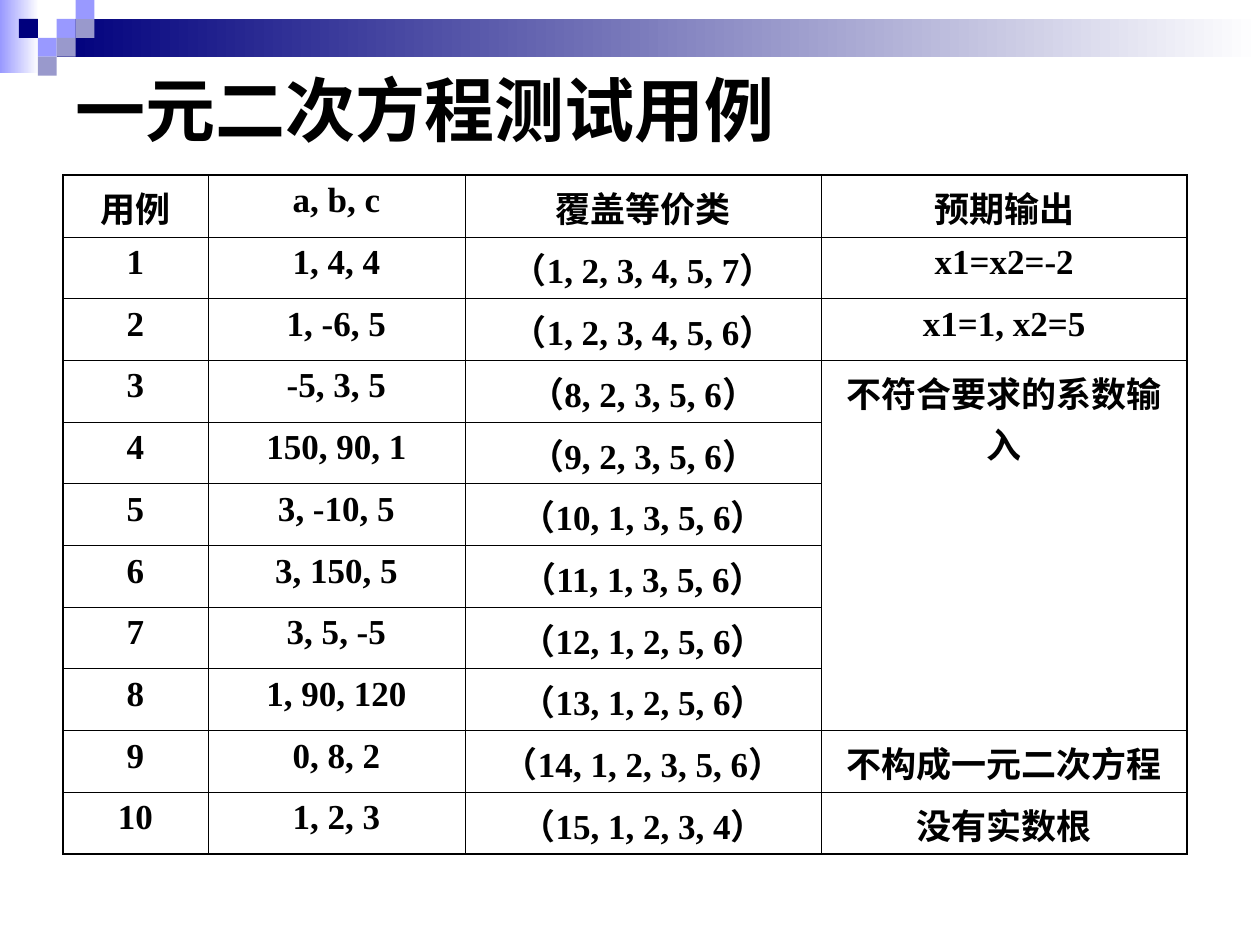
from lxml import etree
from pptx import Presentation
from pptx import util as u
from pptx.dml.color import RGBColor
from pptx.enum import shapes, text
from pptx.oxml.ns import qn

COLORS = {
    "navy": "00007D",
    "periwinkle": "9999FF",
    "lavender": "9999CC",
    "white": "FFFFFF",
    "black": "000000",
}
FONT = "Times New Roman"
THIN, THICK = 0.45, 1.08

SQUARE = 0.15
# Column, row and colour of each square in the corner mosaic
SQUARES = [
    (3, 0, "periwinkle"), (4, 1, "lavender"), (3, 1, "periwinkle"),
    (4, 0, "periwinkle"), (2, 2, "periwinkle"), (1, 1, "navy"),
    (3, 2, "lavender"), (2, 3, "lavender"),
]
SQUARES[0] = (3, 1, "periwinkle")
SQUARES.pop(2)

COLUMN_WIDTHS = [1.15, 2.04, 2.83, 2.9]
ROW_HEIGHT = 0.49
HEADER = ("用例", "a, b, c", "覆盖等价类", "预期输出")
CASES = [
    ("1, 4, 4", "1, 2, 3, 4, 5, 7", "x1=x2=-2"),
    ("1, -6, 5", "1, 2, 3, 4, 5, 6", "x1=1, x2=5"),
    ("-5, 3, 5", "8, 2, 3, 5, 6", "不符合要求的系数输入"),
    ("150, 90, 1", "9, 2, 3, 5, 6", ""),
    ("3, -10, 5", "10, 1, 3, 5, 6", ""),
    ("3, 150, 5", "11, 1, 3, 5, 6", ""),
    ("3, 5, -5", "12, 1, 2, 5, 6", ""),
    ("1, 90, 120", "13, 1, 2, 5, 6", ""),
    ("0, 8, 2", "14, 1, 2, 3, 5, 6", "不构成一元二次方程"),
    ("1, 2, 3", "15, 1, 2, 3, 4", "没有实数根"),
]
INVALID_ROWS = (3, 8)  # first and last row sharing one expected output


def rgb(name):
    return RGBColor.from_string(COLORS[name])


def add_rectangle(slide, left, top, width, height, *colors):
    """Add a borderless rectangle: one colour is solid, two are a gradient."""
    shape = slide.shapes.add_shape(
        shapes.MSO_SHAPE.RECTANGLE,
        u.Inches(left), u.Inches(top), u.Inches(width), u.Inches(height))
    shape.shadow.inherit = False
    shape.line.fill.background()
    if len(colors) == 1:
        shape.fill.solid()
        shape.fill.fore_color.rgb = rgb(colors[0])
    else:
        shape.fill.gradient()
        shape.fill.gradient_angle = 0
        for stop, color in zip(shape.fill.gradient_stops, colors):
            stop.color.rgb = rgb(color)


def format_runs(paragraph, size):
    for run in paragraph.runs:
        run.font.name = FONT
        run.font.size = u.Pt(size)
        run.font.bold = True
        run.font.color.rgb = rgb("black")


def set_borders(cell, widths):
    """Draw the left, right, top and bottom borders of a cell."""
    properties = cell._tc.get_or_add_tcPr()
    for index, (side, width) in enumerate(zip("LRTB", widths)):
        line = etree.Element(qn(f"a:ln{side}"), w=str(u.Pt(width)))
        fill = etree.SubElement(line, qn("a:solidFill"))
        etree.SubElement(fill, qn("a:srgbClr"), val=COLORS["black"])
        properties.insert(index, line)


def add_banner(slide, left, top, width):
    add_rectangle(slide, left, top, 0.31, 0.58, "periwinkle", "white")
    bar_left = 3 * SQUARE
    add_rectangle(slide, left + bar_left, top + SQUARE, width - bar_left,
                  2 * SQUARE, "navy", "white")
    for column, row, color in SQUARES:
        add_rectangle(slide, left + column * SQUARE, top + row * SQUARE,
                      SQUARE, SQUARE, color)


def add_title(slide, left, top, width, height):
    box = slide.shapes.add_textbox(
        u.Inches(left), u.Inches(top), u.Inches(width), u.Inches(height))
    frame = box.text_frame
    frame.word_wrap = True
    frame.vertical_anchor = text.MSO_ANCHOR.MIDDLE
    frame.text = "一元二次方程测试用例"
    format_runs(frame.paragraphs[0], 40)


def add_case_table(slide, left, top):
    rows = [HEADER] + [
        (str(number), coefficients, f"（{classes}）", output)
        for number, (coefficients, classes, output) in enumerate(CASES, 1)]
    last_row, last_column = len(rows) - 1, len(HEADER) - 1
    table = slide.shapes.add_table(
        len(rows), len(HEADER), u.Inches(left), u.Inches(top),
        u.Inches(sum(COLUMN_WIDTHS)), u.Inches(ROW_HEIGHT * len(rows))).table
    table.first_row = False
    table.horz_banding = False
    for column, width in zip(table.columns, COLUMN_WIDTHS):
        column.width = u.Inches(width)

    for r, values in enumerate(rows):
        table.rows[r].height = u.Inches(ROW_HEIGHT)
        for c, value in enumerate(values):
            cell = table.cell(r, c)
            cell.text_frame.text = value
            paragraph = cell.text_frame.paragraphs[0]
            paragraph.alignment = text.PP_ALIGN.CENTER
            format_runs(paragraph, 20)
            cell.fill.background()
            outer_edges = (c == 0, c == last_column, r == 0, r == last_row)
            set_borders(cell, [THICK if edge else THIN for edge in outer_edges])

    # One output covers every case with invalid coefficients
    first, last = INVALID_ROWS
    table.cell(first, last_column).merge(table.cell(last, last_column))


def main():
    presentation = Presentation()
    presentation.slide_width = u.Inches(10)
    presentation.slide_height = u.Inches(7.5)
    slide = presentation.slides.add_slide(presentation.slide_layouts[6])
    add_banner(slide, 0, 0, 10)
    add_title(slide, 0.5, 0.5, 9, 0.73)
    add_case_table(slide, 0.5, 1.39)
    presentation.save("out.pptx")


if __name__ == "__main__":
    main()
